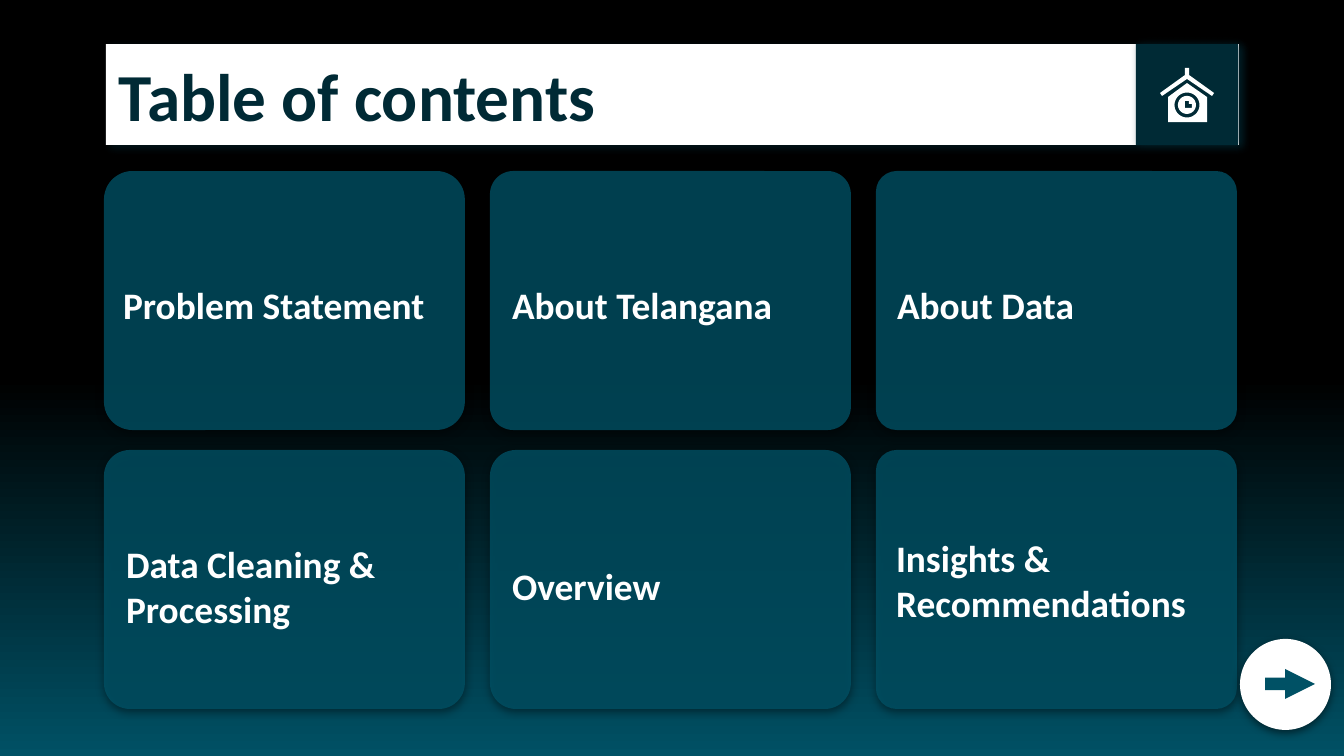
from dataclasses import dataclass
from math import cos, pi, sin

from lxml import etree
from pptx import Presentation
from pptx.dml.color import RGBColor
from pptx.enum.shapes import MSO_SHAPE
from pptx.enum.text import MSO_ANCHOR, PP_ALIGN
from pptx.oxml.ns import qn
from pptx.util import Pt

RECTANGLE = MSO_SHAPE.RECTANGLE
ROUNDED = MSO_SHAPE.ROUNDED_RECTANGLE
OVAL = MSO_SHAPE.OVAL
RIGHT_ARROW = MSO_SHAPE.RIGHT_ARROW
MIDDLE = MSO_ANCHOR.MIDDLE
LEFT = PP_ALIGN.LEFT

EMU_PER_PX = 914400 / 134.4
SUBPIXELS = 10  # outline points are kept to a tenth of a px


@dataclass(frozen=True)
class Theme:
    font: str = "Calibri"
    title_size: int = 36
    label_size: int = 20
    black: str = "000000"
    white: str = "FFFFFF"
    teal: str = "005165"
    navy: str = "002A35"
    card_opacity: int = 79


@dataclass(frozen=True)
class Shadow:
    color: str
    distance: float = 1.5
    angle: int = 90
    blur: float = 4.5
    opacity: int = 50


@dataclass(frozen=True)
class Card:
    """A topic; the label offset is measured from the card's corner."""
    topic: str
    corner: float
    label_offset: tuple
    label_height: int = 78


THEME = Theme()
SOFT_SHADOW = Shadow(THEME.black)

CARD_ROWS = [
    [Card("Problem Statement", 0.11, (6, 95)),
     Card("About Telangana", 0.09, (9, 95)),
     Card("About Data", 0.08, (8, 95))],
    [Card("Data Cleaning & Processing", 0.1, (9, 97)),
     Card("Overview", 0.1, (9, 97)),
     Card("Insights & Recommendations", 0.08, (7, 77), 107)],
]
CARD_LEFT, CARD_TOP = 104, 171
CARD_WIDTH, CARD_HEIGHT = 361, 259
COLUMN_PITCH, ROW_PITCH = 386, 279
LABEL_WIDTH = 348
TEXT_INSET = 13

CLOCK_CENTER = (1187, 105)
HOUSE = [(1187, 83), (1207, 97), (1207, 122), (1168, 122), (1168, 97)]
CLOCK_HANDS = [(1185, 101), (1189, 101), (1189, 104),
               (1192, 104), (1192, 108), (1185, 108)]
ROOF = [(1185, 68), (1189, 68), (1189, 75), (1214, 93), (1212, 96),
        (1187, 79), (1162, 96), (1160, 93), (1185, 75)]


def px(length):
    return round(length * EMU_PER_PX)


def rgb(color):
    return RGBColor.from_string(color)


def paint(shape, color, shadow=None, opacity=100):
    shape.fill.solid()
    shape.fill.fore_color.rgb = rgb(color)
    shape.line.fill.background()
    shape.shadow.inherit = False
    properties = shape._element.spPr
    if opacity < 100:
        fill_color = properties.find(qn("a:solidFill"))[0]
        etree.SubElement(fill_color, qn("a:alpha"), val=str(opacity * 1000))
    if shadow:
        outer = etree.SubElement(
            properties.find(qn("a:effectLst")), qn("a:outerShdw"),
            blurRad=str(Pt(shadow.blur)), dist=str(Pt(shadow.distance)),
            dir=str(shadow.angle * 60000), algn="bl", rotWithShape="0")
        tint = etree.SubElement(outer, qn("a:srgbClr"), val=shadow.color)
        etree.SubElement(tint, qn("a:alpha"), val=str(shadow.opacity * 1000))


def add_panel(shapes, preset, box, color, adjustments=(), **finish):
    panel = shapes.add_shape(preset, *map(px, box))
    for index, value in enumerate(adjustments):
        panel.adjustments[index] = value
    paint(panel, color, **finish)
    return panel


def write_text(shape, text, size, color):
    frame = shape.text_frame
    inset = px(TEXT_INSET)
    frame_format = {"word_wrap": True, "vertical_anchor": MIDDLE,
                    "margin_left": inset, "margin_right": inset,
                    "margin_top": inset, "margin_bottom": inset}
    for name, value in frame_format.items():
        setattr(frame, name, value)
    paragraph = frame.paragraphs[0]
    paragraph.alignment = LEFT
    run = paragraph.add_run()
    run.text = text
    font_format = {"name": THEME.font, "size": Pt(size), "bold": True}
    for name, value in font_format.items():
        setattr(run.font, name, value)
    run.font.color.rgb = rgb(color)


def circle(radius, steps=48):
    """Points of a circle around the clock's center."""
    x, y = CLOCK_CENTER
    angles = [2 * pi * step / steps for step in range(steps)]
    return [(x + radius * cos(a), y + radius * sin(a)) for a in angles]


def add_outline(shapes, color, *contours):
    """Fill the first contour; the later ones are holes in it."""
    scaled = [[(x * SUBPIXELS, y * SUBPIXELS) for x, y in contour]
              for contour in contours]
    builder = shapes.build_freeform(*scaled[0][0],
                                    scale=EMU_PER_PX / SUBPIXELS)
    builder.add_line_segments(scaled[0][1:], close=True)
    for hole in scaled[1:]:
        builder.move_to(*hole[0])
        builder.add_line_segments(hole[1:], close=True)
    paint(builder.convert_to_shape(), color)


def set_background(slide):
    fill = slide.background.fill
    fill.gradient()
    fill.gradient_angle = 270
    stops = [(0.5, THEME.black), (1, THEME.teal)]
    for stop, (position, color) in zip(fill.gradient_stops, stops):
        stop.position = position
        stop.color.rgb = rgb(color)


def add_title(shapes):
    bar = add_panel(shapes, RECTANGLE, (106, 44, 1133, 101), THEME.white,
                    shadow=Shadow(THEME.navy, distance=2.2, angle=29))
    write_text(bar, "Table of contents", THEME.title_size, THEME.navy)


def add_card(shapes, card, left, top):
    add_panel(shapes, ROUNDED, (left, top, CARD_WIDTH, CARD_HEIGHT),
              THEME.teal, [card.corner], shadow=SOFT_SHADOW,
              opacity=THEME.card_opacity)
    dx, dy = card.label_offset
    label = shapes.add_textbox(px(left + dx), px(top + dy),
                               px(LABEL_WIDTH), px(card.label_height))
    write_text(label, card.topic, THEME.label_size, THEME.white)


def add_next_button(shapes):
    button = shapes.add_group_shape().shapes
    add_panel(button, OVAL, (1240, 639, 91, 91), THEME.white,
              shadow=SOFT_SHADOW)
    add_panel(button, RIGHT_ARROW, (1265, 669, 50, 30), THEME.teal,
              [0.42, 1])


def add_home_icon(shapes):
    icon = shapes.add_group_shape().shapes
    add_panel(icon, ROUNDED, (1136, 44, 102, 101), THEME.navy, [0],
              shadow=Shadow(THEME.navy, angle=0))
    add_outline(icon, THEME.white, HOUSE, circle(12.5))
    add_outline(icon, THEME.white, circle(9), CLOCK_HANDS)
    add_outline(icon, THEME.white, ROOF)


def main():
    deck = Presentation()
    deck.slide_width, deck.slide_height = px(1344), px(756)
    slide = deck.slides.add_slide(deck.slide_layouts[6])
    set_background(slide)
    add_title(slide.shapes)
    for row, cards in enumerate(CARD_ROWS):
        for column, card in enumerate(cards):
            add_card(slide.shapes, card, CARD_LEFT + column * COLUMN_PITCH,
                     CARD_TOP + row * ROW_PITCH)
    add_next_button(slide.shapes)
    add_home_icon(slide.shapes)
    deck.save("out.pptx")


if __name__ == "__main__":
    main()
